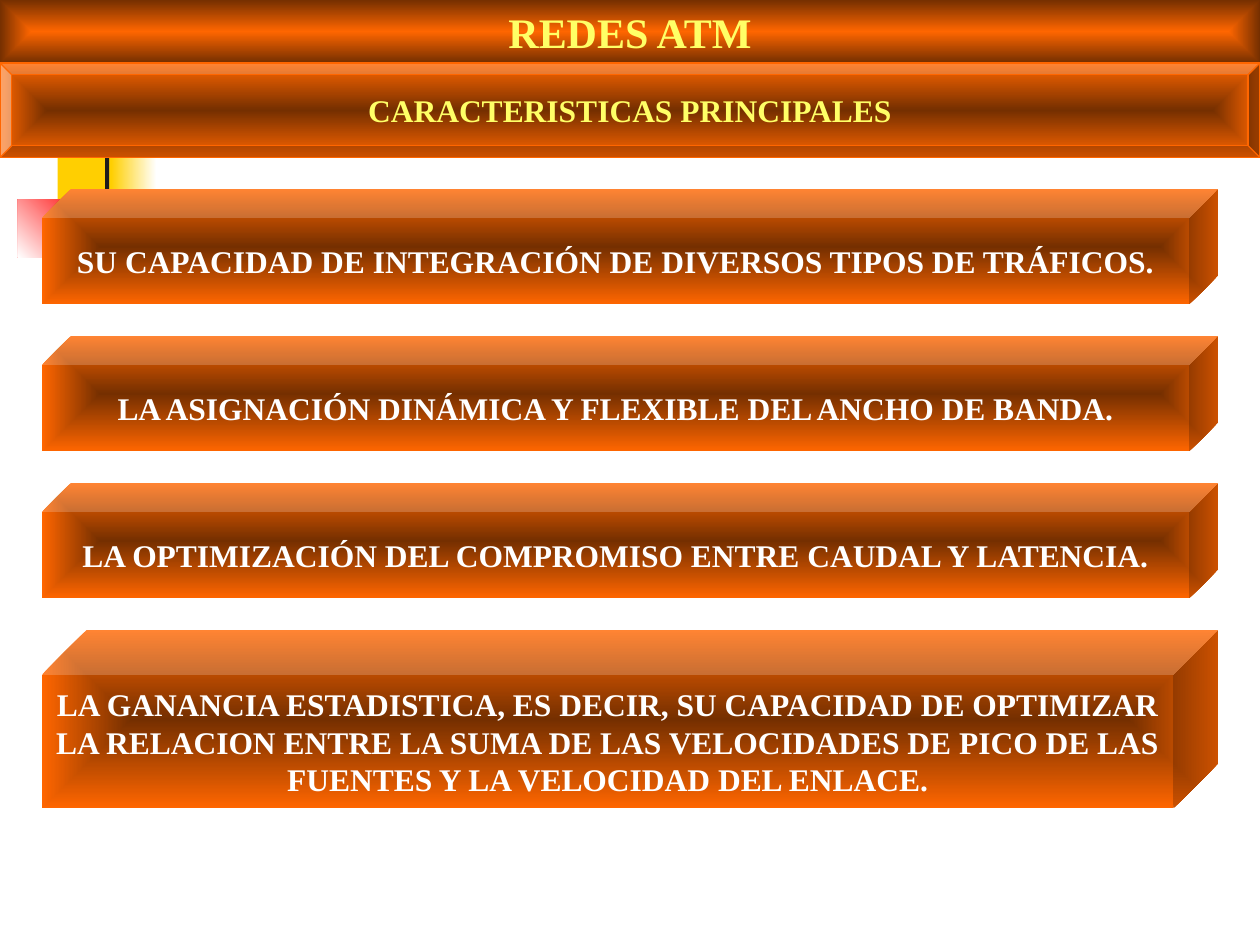
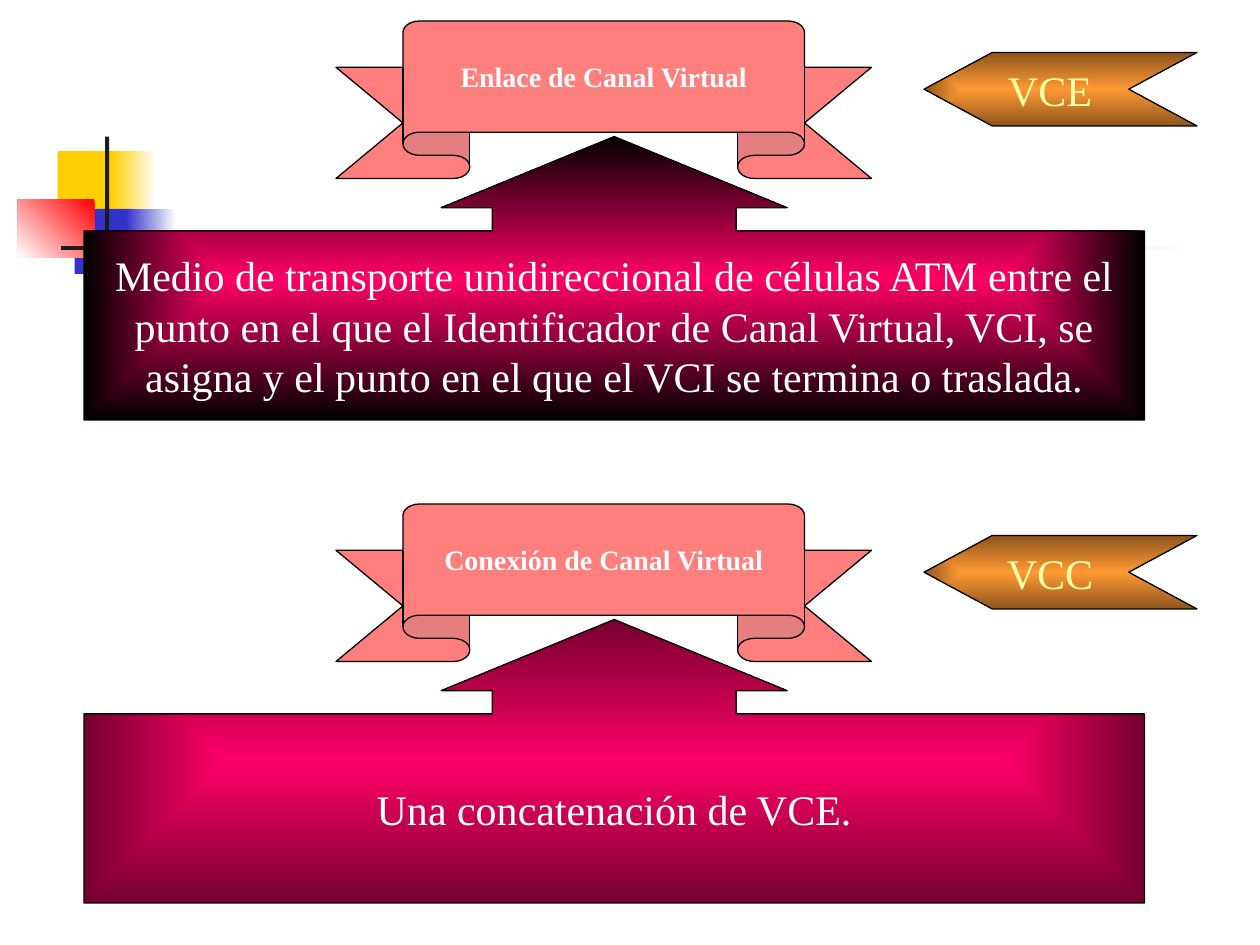
from lxml.etree import SubElement
from pptx import Presentation
from pptx.dml.color import RGBColor
from pptx.enum.shapes import MSO_SHAPE
from pptx.enum.text import MSO_ANCHOR, PP_ALIGN
from pptx.oxml import parse_xml
from pptx.oxml.ns import nsdecls, qn
from pptx.util import Pt

PX = 7620  # EMU per px, 120 px to the inch
SLIDE_W, SLIDE_H = 1200, 900
FONT = "Times New Roman"

COLORS = {
    "white": "FFFFFF", "black": "000000", "ink": "1C1C1C",
    "gold": "FFCF01", "blue": "3333CC", "red": "FF0000",
    "orange": "FF6600", "brown": "752F00", "yellow": "FFFF66",
    "pink": "FF0066", "wine": "75002F",
    "amber": "FF9933", "bronze": "8E551C", "cream": "FFFFA3",
}

# Content
TITLE = "REDES ATM"
SUBTITLE = "CARACTERISTICAS PRINCIPALES"
FEATURES = [
    ["SU CAPACIDAD DE INTEGRACIÓN DE DIVERSOS TIPOS DE TRÁFICOS."],
    ["LA ASIGNACIÓN DINÁMICA Y FLEXIBLE DEL ANCHO DE BANDA."],
    ["LA OPTIMIZACIÓN DEL COMPROMISO ENTRE CAUDAL Y LATENCIA."],
    ["LA GANANCIA ESTADISTICA, ES DECIR, SU CAPACIDAD DE OPTIMIZAR",
     "LA RELACION ENTRE LA SUMA DE LAS VELOCIDADES DE PICO DE LAS",
     "FUENTES Y LA VELOCIDAD DEL ENLACE."],
]
CHANNELS = [
    {"name": "Enlace de Canal Virtual", "tag": "VCE", "edge": "black",
     "text": "Medio de transporte unidireccional de células ATM entre el "
             "punto en el que el Identificador de Canal Virtual, VCI, se "
             "asigna y el punto en el que el VCI se termina o traslada."},
    {"name": "Conexión de Canal Virtual", "tag": "VCC", "edge": "wine",
     "text": "Una concatenación de VCE."},
]

# Background ornament: box, fill (one colour, or start, end and angle)
ORNAMENT = [
    ((55, 144, 58, 62), ("gold",)),
    ((106, 144, 43, 62), ("white", "gold", 180)),
    ((71, 199, 55, 62), ("blue",)),
    ((120, 199, 48, 62), ("white", "blue", 180)),
    ((17, 190, 73, 55), ("red", "white", 135)),
    ((100, 130, 4, 138), ("ink",)),
    ((58, 234, 1080, 4), ("white", "ink", 180)),
]

# Text formats
HEADING = {"size": Pt(24), "bold": True, "color": "yellow"}
SUBHEADING = {"size": Pt(18), "bold": True, "color": "yellow"}
FEATURE = {"size": Pt(18), "bold": True, "color": "white"}
RIBBON = {"size": Pt(16), "bold": True, "color": "white"}
BODY = {"size": Pt(24), "bold": False, "color": "white"}
TAG = {"size": Pt(24), "bold": False, "color": "cream"}


def rgb(name):
    return RGBColor.from_string(COLORS[name])


def set_gradient(shape, start, end, angle=None):
    """Linear at an angle, or from the centre outwards without one."""
    if angle is None:
        way = ('<a:path path="rect"><a:fillToRect l="50000" t="50000" '
               'r="50000" b="50000"/></a:path>')
    else:
        way = f'<a:lin ang="{angle * 60000}" scaled="1"/>'
    stops = "".join(
        f'<a:gs pos="{pos}"><a:srgbClr val="{COLORS[c]}"/></a:gs>'
        for pos, c in ((0, start), (100000, end)))
    grad = parse_xml(f'<a:gradFill {nsdecls("a")} rotWithShape="1">'
                     f'<a:gsLst>{stops}</a:gsLst>{way}</a:gradFill>')
    shape.fill.background()
    old = shape._element.spPr.find(qn("a:noFill"))
    old.getparent().replace(old, grad)


def style(shape, fill, line=None, alpha=None):
    shape.shadow.inherit = False
    if len(fill) > 1:
        set_gradient(shape, *fill)
    else:
        shape.fill.solid()
        shape.fill.fore_color.rgb = rgb(fill[0])
        if alpha:
            clr = shape._element.spPr.find(qn("a:solidFill"))[0]
            SubElement(clr, qn("a:alpha")).set("val", str(alpha * 1000))
    if line:
        shape.line.color.rgb = rgb(line)
        shape.line.width = Pt(0.75)
    else:
        shape.line.fill.background()


def add_shape(s, kind, box, fill, line=None, alpha=None, adj=()):
    sp = s.shapes.add_shape(kind, *(v * PX for v in box))
    for i, value in enumerate(adj):
        sp.adjustments[i] = value
    style(sp, fill, line, alpha)
    return sp


def write(sp, lines, fmt, wrap=False, right=12):
    tf = sp.text_frame
    frame = {"word_wrap": wrap, "vertical_anchor": MSO_ANCHOR.MIDDLE,
             "margin_left": 12 * PX, "margin_right": right * PX,
             "margin_top": 6 * PX, "margin_bottom": 6 * PX}
    for key, value in frame.items():
        setattr(tf, key, value)
    for i, line in enumerate(lines):
        p = tf.add_paragraph() if i else tf.paragraphs[0]
        p.alignment = PP_ALIGN.CENTER
        r = p.add_run()
        r.text = line
        r.font.name = FONT
        r.font.color.rgb = rgb(fmt["color"])
        for key in ("size", "bold"):
            setattr(r.font, key, fmt[key])


def new_slide(prs):
    s = prs.slides.add_slide(prs.slide_layouts[6])
    for box, fill in ORNAMENT:
        add_shape(s, MSO_SHAPE.RECTANGLE, box, fill)
    return s


def add_tag(s, x, y, text):
    """Left-pointing arrow with a notched tail."""
    w, h, notch = 260, 70, 65
    fb = s.shapes.build_freeform(x + w, y, scale=PX)
    fb.add_line_segments([(x + notch, y), (x, y + h // 2), (x + notch, y + h),
                          (x + w, y + h), (x + w - notch, y + h // 2)])
    sp = fb.convert_to_shape()
    style(sp, ("amber", "bronze"), "black")
    write(sp, [text], TAG, right=32)


def build_features(prs):
    s = new_slide(prs)
    # Heading bands
    sp = add_shape(s, MSO_SHAPE.RECTANGLE, (0, 0, SLIDE_W, 60),
                   ("orange", "brown"))
    write(sp, [TITLE], HEADING)
    sp = add_shape(s, MSO_SHAPE.BEVEL, (0, 60, SLIDE_W, 90),
                   ("brown", "orange"), "orange", adj=[0.125])
    write(sp, [SUBTITLE], SUBHEADING)
    # Feature blocks, each taller by 30 px per extra line
    y, gap = 180, 30
    for lines in FEATURES:
        h = 110 + 30 * (len(lines) - 1)
        sp = add_shape(s, MSO_SHAPE.CUBE, (40, y, 1120, h),
                       ("brown", "orange"), adj=[0.25])
        write(sp, lines, FEATURE)
        y += h + gap


def build_channels(prs):
    s = new_slide(prs)
    top, pitch = 20, 460
    for i, channel in enumerate(CHANNELS):
        y = top + i * pitch
        sp = add_shape(s, MSO_SHAPE.UP_RIBBON, (320, y, 510, 150), ("red",),
                       "black", alpha=50, adj=[0.294, 0.75])
        write(sp, [channel["name"]], RIBBON)
        sp = add_shape(s, MSO_SHAPE.UP_ARROW_CALLOUT, (80, y + 110, 1010, 270),
                       ("pink", channel["edge"]), "black",
                       adj=[0.86, 0.61, 0.251, 0.667])
        write(sp, [channel["text"]], BODY, wrap=True)
        add_tag(s, 880, y + 30, channel["tag"])


def main():
    prs = Presentation()
    prs.slide_width, prs.slide_height = SLIDE_W * PX, SLIDE_H * PX
    build_features(prs)
    build_channels(prs)
    prs.save("out.pptx")


if __name__ == "__main__":
    main()
